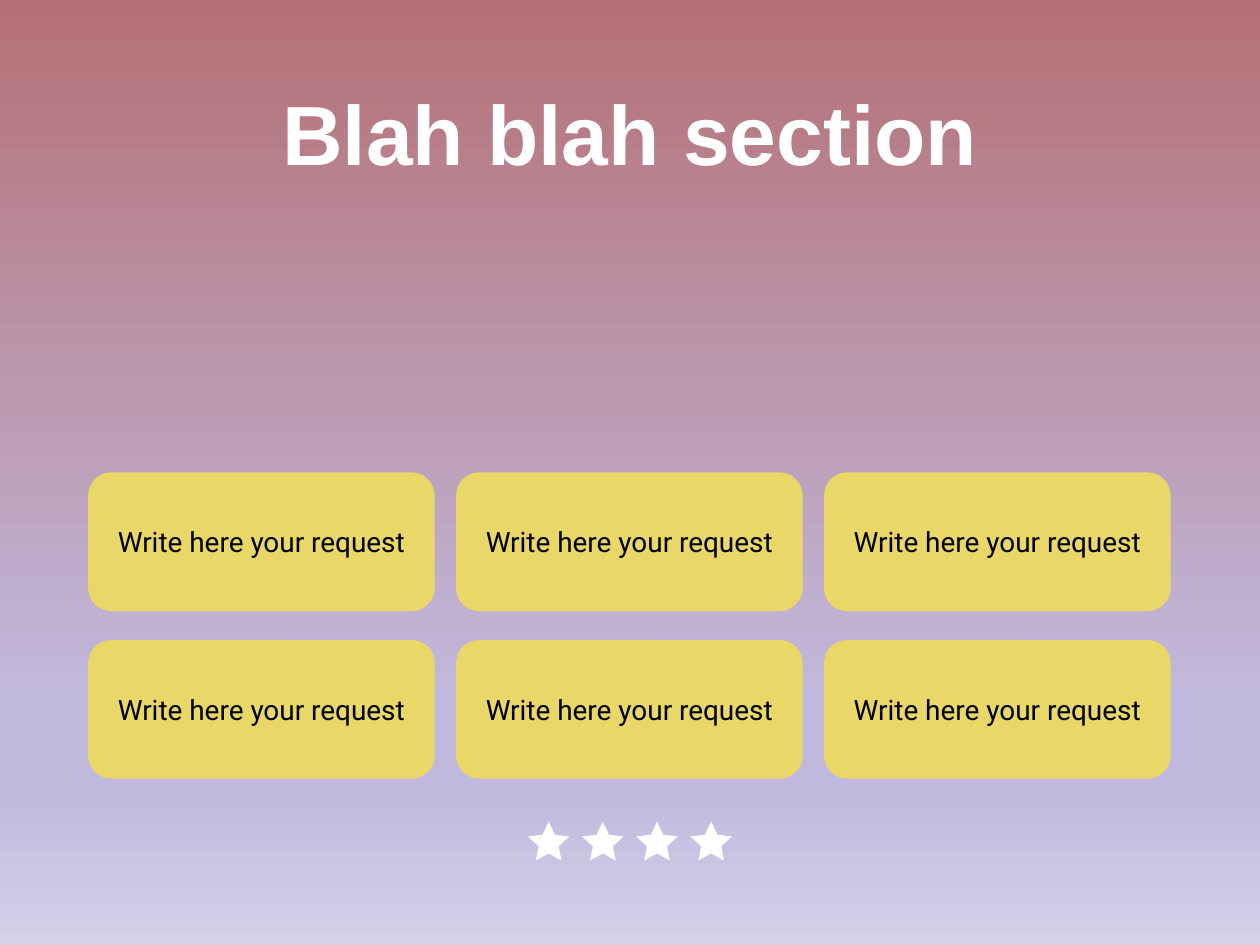
"""Build a section slide with six request cards and a row of four stars."""
import pptx
import pptx.dml.color
import pptx.enum.shapes
import pptx.enum.text
import pptx.oxml.ns
import pptx.util
import lxml.etree

WHITE = pptx.dml.color.RGBColor(0xFF, 0xFF, 0xFF)
BLACK = pptx.dml.color.RGBColor(0x00, 0x00, 0x00)
YELLOW = pptx.dml.color.RGBColor(0xE9, 0xD8, 0x68)
ROSE = pptx.dml.color.RGBColor(0xB5, 0x70, 0x75)
LILAC = pptx.dml.color.RGBColor(0xC1, 0xB9, 0xDD)
PALE_LILAC = pptx.dml.color.RGBColor(0xD6, 0xD0, 0xE8)

GRADIENT = [(0, ROSE), (74, LILAC), (83, LILAC), (100, PALE_LILAC)]
CARD_LEFT, CARD_TOP, CARD_WIDTH, CARD_HEIGHT = 0.7, 3.75, 2.75, 1.1
CARD_COLUMN, CARD_ROW = 2.92, 1.33
STAR_LEFT, STAR_TOP, STAR_WIDTH, STAR_HEIGHT = 4.19, 6.52, 0.33, 0.31
STAR_COLUMN = 0.43


def add_plain_shape(page, kind, place, color):
    shape = page.shapes.add_shape(kind, *map(pptx.util.Inches, place))
    shape.shadow.inherit = False
    shape.fill.solid()
    shape.fill.fore_color.rgb = color
    shape.line.fill.background()
    return shape


def write_text(box, text, font_name, size, color, bold=False):
    frame = box.text_frame
    frame.text = text
    frame.word_wrap = True
    frame.auto_size = pptx.enum.text.MSO_AUTO_SIZE.NONE
    frame.margin_left = frame.margin_right = pptx.util.Inches(0.1)
    frame.margin_top = frame.margin_bottom = pptx.util.Inches(0.1)
    para = frame.paragraphs[0]
    para.alignment = pptx.enum.text.PP_ALIGN.CENTER
    font = para.runs[0].font
    font.name, font.size, font.bold = font_name, pptx.util.Pt(size), bold
    font.color.rgb = color


deck = pptx.Presentation()
deck.slide_width = pptx.util.Inches(10)
deck.slide_height = pptx.util.Inches(7.5)
page = deck.slides.add_slide(deck.slide_layouts[5])

backdrop = page.background.fill
backdrop.gradient()
backdrop.gradient_angle = 270
stops = page.element.find(".//" + pptx.oxml.ns.qn("a:gsLst"))
for stop in list(stops):
    stops.remove(stop)
for percent, color in GRADIENT:
    stop = lxml.etree.SubElement(stops, pptx.oxml.ns.qn("a:gs"), pos=str(percent * 1000))
    lxml.etree.SubElement(stop, pptx.oxml.ns.qn("a:srgbClr"), val=str(color))

title = page.shapes.title
title.left, title.top = pptx.util.Inches(0.34), pptx.util.Inches(0.48)
title.width, title.height = pptx.util.Inches(9.32), pptx.util.Inches(0.83)
write_text(title, "Blah blah section", "Arial", 48, WHITE, bold=True)
title.text_frame.vertical_anchor = pptx.enum.text.MSO_ANCHOR.TOP
title.text_frame.paragraphs[0].line_spacing = 1.08

for row in range(2):
    for column in range(3):
        place = (CARD_LEFT + column * CARD_COLUMN, CARD_TOP + row * CARD_ROW,
                 CARD_WIDTH, CARD_HEIGHT)
        card = add_plain_shape(
            page, pptx.enum.shapes.MSO_SHAPE.ROUNDED_RECTANGLE, place, YELLOW)
        write_text(card, "Write here your request", "Roboto", 16, BLACK)
        card.text_frame.vertical_anchor = pptx.enum.text.MSO_ANCHOR.MIDDLE

for column in range(4):
    place = (STAR_LEFT + column * STAR_COLUMN, STAR_TOP, STAR_WIDTH, STAR_HEIGHT)
    star = add_plain_shape(page, pptx.enum.shapes.MSO_SHAPE.STAR_5_POINT, place, WHITE)
    star.adjustments[0] = 0.24

deck.save("out.pptx")
